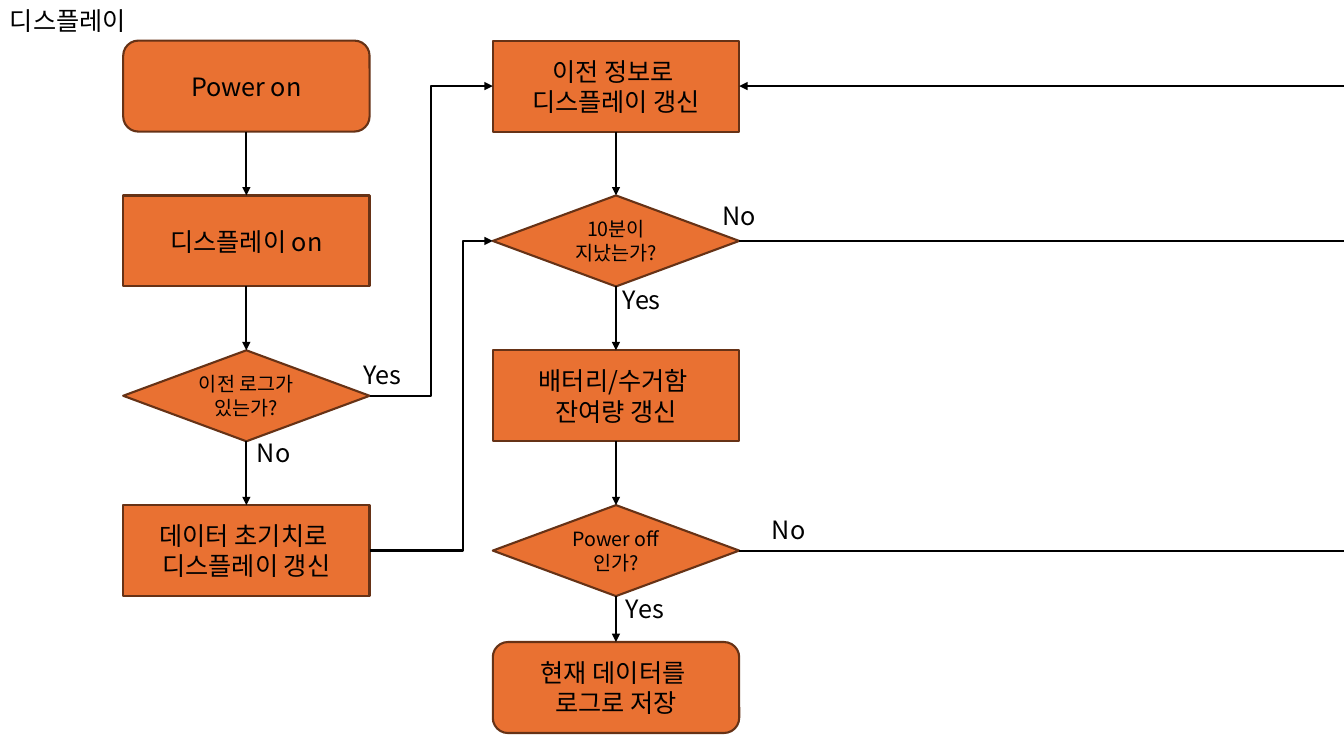
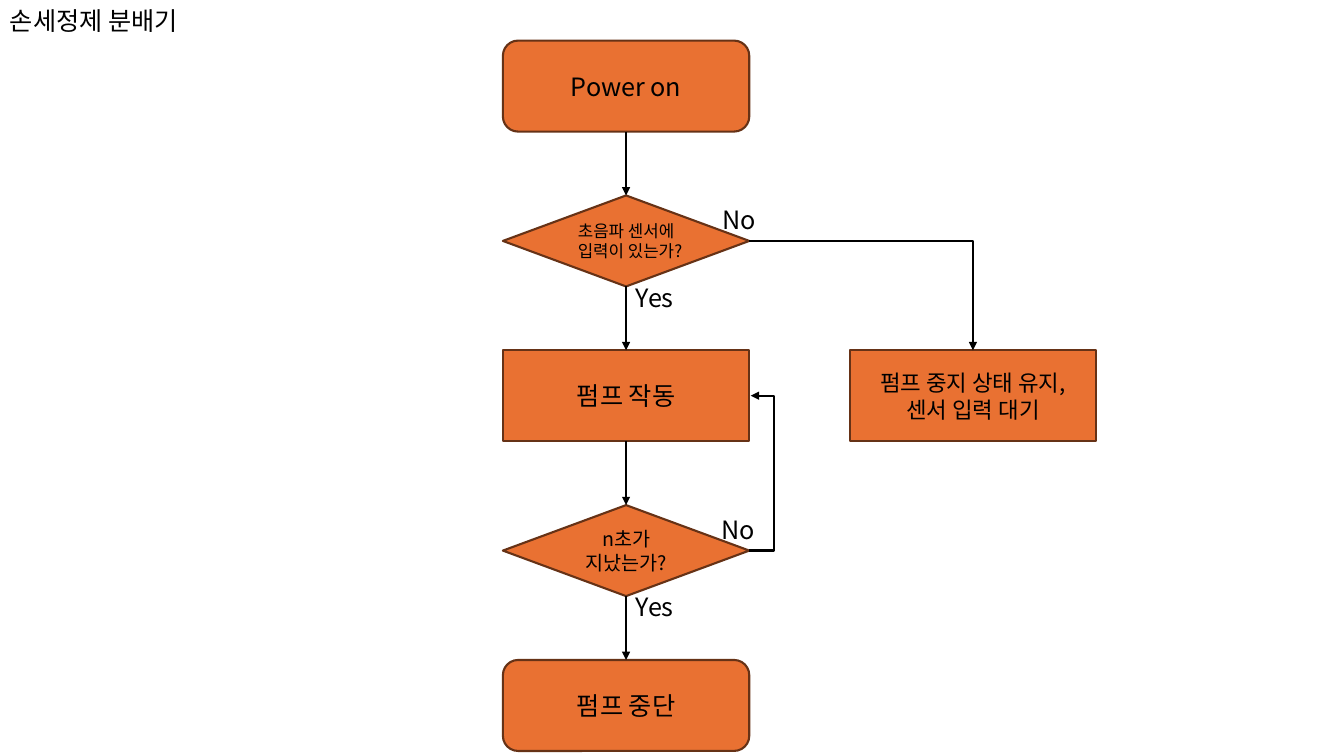
from lxml.etree import SubElement
from pptx import Presentation
from pptx.dml.color import RGBColor
from pptx.enum.shapes import MSO_CONNECTOR, MSO_SHAPE
from pptx.enum.text import MSO_ANCHOR, PP_ALIGN
from pptx.oxml.ns import qn
from pptx.util import Pt

ORANGE = RGBColor(0xE9, 0x71, 0x32)
BROWN = RGBColor(0x66, 0x32, 0x16)
BLACK = RGBColor(0, 0, 0)
FONT = "Noto Sans CJK KR"

SLIDE_WIDTH, SLIDE_HEIGHT = 960, 540
NODE_WIDTH, NODE_HEIGHT = 176, 65
ROW_TOPS = [29 + 110.6 * row for row in range(5)]
LINE_WIDTH = 1.5

TERMINAL = MSO_SHAPE.ROUNDED_RECTANGLE
PROCESS = MSO_SHAPE.RECTANGLE
DECISION = MSO_SHAPE.DIAMOND
TOP, LEFT, BOTTOM, RIGHT = range(4)  # connection sites of every node


class Flowchart:
    def __init__(self, presentation):
        self.presentation = presentation
        self.slide = None

    def new_slide(self, title):
        layout = self.presentation.slide_layouts[6]
        self.slide = self.presentation.slides.add_slide(layout)
        self.label(title, 0, 0, NODE_WIDTH)

    def set_text(self, text_frame, text, size, alignment):
        text_frame.word_wrap = True
        paragraph = text_frame.paragraphs[0]
        paragraph.text = text
        paragraph.alignment = alignment
        font = paragraph.font
        font.size = Pt(size)
        font.name = FONT
        font.color.rgb = BLACK
        properties = paragraph._p.pPr.find(qn("a:defRPr"))
        SubElement(properties, qn("a:ea")).set("typeface", FONT)

    def label(self, text, left, top, width=54):
        box = self.slide.shapes.add_textbox(Pt(left), Pt(top), Pt(width), Pt(29))
        self.set_text(box.text_frame, text, 18, PP_ALIGN.LEFT)

    def node(self, kind, text, left, top, size=18):
        shape = self.slide.shapes.add_shape(
            kind, Pt(left), Pt(top), Pt(NODE_WIDTH), Pt(NODE_HEIGHT))
        shape.shadow.inherit = False
        shape.fill.solid()
        shape.fill.fore_color.rgb = ORANGE
        shape.line.color.rgb = BROWN
        shape.line.width = Pt(LINE_WIDTH)
        shape.text_frame.vertical_anchor = MSO_ANCHOR.MIDDLE
        self.set_text(shape.text_frame, text, size, PP_ALIGN.CENTER)
        return shape

    def connector(self, kind, start=(0, 0), end=(0, 0), arrow=True):
        connector = self.slide.shapes.add_connector(
            kind, *(Pt(length) for length in (*start, *end)))
        connector.line.color.rgb = BLACK
        connector.line.width = Pt(LINE_WIDTH)
        if arrow:
            outline = connector.line._get_or_add_ln()
            SubElement(outline, qn("a:tailEnd")).set("type", "triangle")
        SubElement(connector._element.spPr, qn("a:effectLst"))
        return connector

    def chain(self, nodes):
        """Join each node to the next one below it."""
        for upper, lower in zip(nodes, nodes[1:]):
            arrow = self.connector(MSO_CONNECTOR.STRAIGHT)
            arrow.begin_connect(upper, BOTTOM)
            arrow.end_connect(lower, TOP)

    def elbow(self, source, target, site=LEFT, end=None, bend=0.5):
        """Lead from the right of source to a site of target, or to a free end.

        The bend is a share of the width; None gives a single corner.
        """
        connector = self.connector(MSO_CONNECTOR.ELBOW, end=end or (0, 0))
        connector.begin_connect(source, RIGHT)
        if target is not None:
            connector.end_connect(target, site)
        geometry = connector._element.spPr.find(qn("a:prstGeom"))
        if bend is None:
            geometry.set("prst", "bentConnector2")
        elif bend != 0.5:
            guide = SubElement(geometry.find(qn("a:avLst")), qn("a:gd"))
            guide.set("name", "adj1")
            guide.set("fmla", f"val {round(bend * 100000)}")

    def to_edge(self, node):
        """Lead from the right of a node to the slide's edge."""
        height = (node.top + node.height / 2) / Pt(1)
        line = self.connector(
            MSO_CONNECTOR.STRAIGHT, end=(SLIDE_WIDTH, height), arrow=False)
        line.begin_connect(node, RIGHT)

    def from_edge(self, node):
        """Lead an arrow from the slide's edge to the right of a node."""
        height = (node.top + node.height / 2) / Pt(1)
        arrow = self.connector(MSO_CONNECTOR.STRAIGHT, start=(SLIDE_WIDTH, height))
        arrow.end_connect(node, RIGHT)


def build_display(chart):
    chart.new_slide("디스플레이")
    first, second = 88, 352
    startup = [
        chart.node(TERMINAL, "Power on", first, ROW_TOPS[0]),
        chart.node(PROCESS, "디스플레이 on", first, ROW_TOPS[1]),
        chart.node(DECISION, "이전 로그가 있는가?", first, ROW_TOPS[2], 14),
        chart.node(PROCESS, "데이터 초기치로 \v디스플레이 갱신", first, ROW_TOPS[3]),
    ]
    cycle = [
        chart.node(PROCESS, "이전 정보로 \v디스플레이 갱신", second, ROW_TOPS[0]),
        chart.node(DECISION, "10분이 지났는가?", second, ROW_TOPS[1], 14),
        chart.node(PROCESS, "배터리/수거함 \v잔여량 갱신", second, ROW_TOPS[2]),
        chart.node(DECISION, "Power off인가?", second, ROW_TOPS[3], 14),
        chart.node(TERMINAL, "현재 데이터를 \v로그로 저장", second, 458.6),
    ]
    chart.chain(startup)
    chart.chain(cycle)
    has_log, reset = startup[2:]
    refresh, ten_minutes, _, power_off, _ = cycle
    chart.elbow(has_log, refresh)
    chart.elbow(reset, ten_minutes, bend=0.76)
    chart.to_edge(ten_minutes)
    chart.to_edge(power_off)
    chart.from_edge(refresh)
    for text, left, top in [
        ("Yes", 252.7, 253.4), ("No", 176.4, 309), ("No", 509, 139.7),
        ("Yes", 437.8, 199.4), ("No", 544.3, 363.6), ("Yes", 440, 420.5),
    ]:
        chart.label(text, left, top)


def build_dispenser(chart):
    chart.new_slide("손세정제 분배기")
    main_left, side_left = 359.2, 607
    steps = [
        chart.node(TERMINAL, "Power on", main_left, ROW_TOPS[0]),
        chart.node(DECISION, "초음파 센서에 입력이 있는가?", main_left, ROW_TOPS[1], 12),
        chart.node(PROCESS, "펌프 작동", main_left, ROW_TOPS[2]),
        chart.node(DECISION, "n초가 지났는가?", main_left, ROW_TOPS[3], 14),
        chart.node(TERMINAL, "펌프 중단", main_left, ROW_TOPS[4]),
    ]
    waiting = chart.node(
        PROCESS, "펌프 중지 상태 유지, 센서 입력 대기", side_left, ROW_TOPS[2], 16)
    chart.chain(steps)
    _, sensor, _, elapsed, _ = steps
    chart.elbow(sensor, waiting, TOP, bend=None)
    pump_side = (main_left + NODE_WIDTH + 1, ROW_TOPS[2] + NODE_HEIGHT / 2)
    chart.elbow(elapsed, None, end=pump_side, bend=18)
    for text, left, top in [
        ("No", 509, 142.6), ("Yes", 447.1, 198),
        ("No", 508.3, 363.6), ("Yes", 447.1, 419),
    ]:
        chart.label(text, left, top)


def main():
    presentation = Presentation()
    presentation.slide_width = Pt(SLIDE_WIDTH)
    presentation.slide_height = Pt(SLIDE_HEIGHT)
    chart = Flowchart(presentation)
    build_display(chart)
    build_dispenser(chart)
    presentation.save("out.pptx")


if __name__ == "__main__":
    main()
